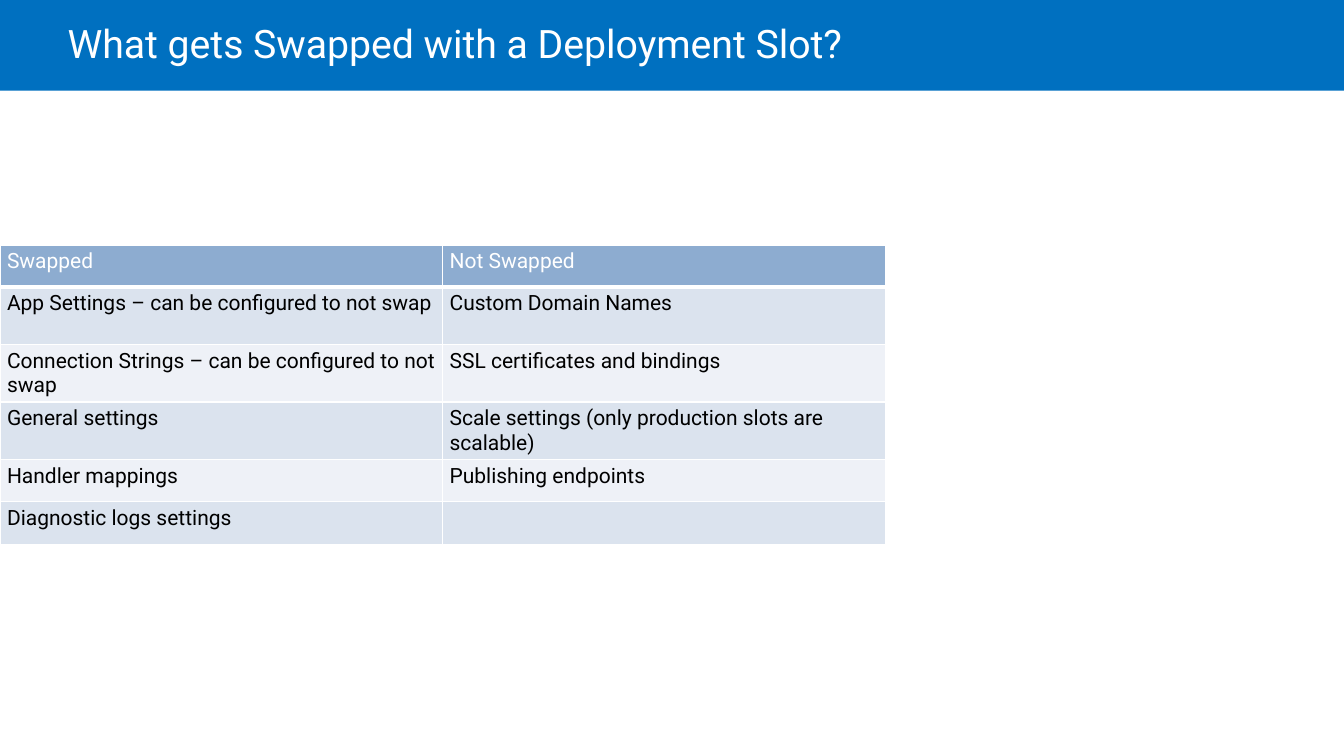
from lxml import etree
from pptx import Presentation
from pptx.dml.color import RGBColor
from pptx.enum.shapes import MSO_SHAPE
from pptx.enum.text import MSO_ANCHOR, PP_ALIGN
from pptx.oxml.ns import qn
from pptx.util import Inches, Pt

RECTANGLE = MSO_SHAPE.RECTANGLE
MIDDLE = MSO_ANCHOR.MIDDLE
LEFT = PP_ALIGN.LEFT

FONT = "Roboto"
COLORS = {
    "band": "0070C0",
    "header": "8DACD0",
    "odd": "DBE3EE",
    "even": "EEF1F7",
    "white": "FFFFFF",
    "black": "000000",
}
ROWS = [
    ("Swapped", "Not Swapped"),
    ("App Settings – can be configured to not swap", "Custom Domain Names"),
    ("Connection Strings – can be configured to not swap", "SSL certificates and bindings"),
    ("General settings", "Scale settings (only production slots are scalable)"),
    ("Handler mappings", "Publishing endpoints"),
    ("Diagnostic logs settings", ""),
]
ROW_HEIGHTS = [0.42, 0.57, 0.57, 0.57, 0.42, 0.42]
COLUMN_WIDTH = 4.39


class SlideBuilder:
    def __init__(self, presentation):
        self.slide = presentation.slides.add_slide(presentation.slide_layouts[5])

    def color(self, name):
        return RGBColor.from_string(COLORS[name])

    def style_text(self, paragraph, size, color):
        for run in paragraph.runs:
            run.font.name = FONT
            run.font.size = Pt(size)
            run.font.bold = False
            run.font.color.rgb = self.color(color)

    def band(self, width, height):
        shape = self.slide.shapes.add_shape(RECTANGLE, 0, 0, Inches(width), Inches(height))
        shape.shadow.inherit = False
        shape.fill.solid()
        shape.fill.fore_color.rgb = self.color("band")
        shape.line.fill.background()
        self.slide.shapes._spTree.insert(2, shape._element)

    def title(self, text, left, top, width, height):
        shape = self.slide.shapes.title
        shape.left, shape.top = Inches(left), Inches(top)
        shape.width, shape.height = Inches(width), Inches(height)
        frame = shape.text_frame
        frame.text = text
        frame.word_wrap = True
        frame.vertical_anchor = MIDDLE
        frame.margin_left = 0
        frame.margin_right = Inches(0.1)
        frame.margin_top = frame.margin_bottom = Inches(0.05)
        paragraph = frame.paragraphs[0]
        paragraph.alignment = LEFT
        paragraph.line_spacing = 0.9
        self.style_text(paragraph, 28, "white")

    def borders(self, cell, bottom_width):
        properties = cell._tc.get_or_add_tcPr()
        for side, width in (("L", 1), ("R", 1), ("T", 1), ("B", bottom_width)):
            line = etree.SubElement(properties, qn(f"a:ln{side}"), w=str(Pt(width)))
            fill = etree.SubElement(line, qn("a:solidFill"))
            etree.SubElement(fill, qn("a:srgbClr"), val=COLORS["white"])

    def cell(self, cell, text, fill, color, bottom_width):
        cell.text = text
        cell.margin_left = cell.margin_right = Inches(0.07)
        cell.margin_top = cell.margin_bottom = Inches(0.04)
        self.borders(cell, bottom_width)
        cell.fill.solid()
        cell.fill.fore_color.rgb = self.color(fill)
        self.style_text(cell.text_frame.paragraphs[0], 15, color)

    def table(self, rows, left, top):
        column_count = len(rows[0])
        table = self.slide.shapes.add_table(
            len(rows), column_count, Inches(left), Inches(top),
            Inches(COLUMN_WIDTH * column_count), Inches(sum(ROW_HEIGHTS)),
        ).table
        for column in table.columns:
            column.width = Inches(COLUMN_WIDTH)
        for row_index, texts in enumerate(rows):
            table.rows[row_index].height = Inches(ROW_HEIGHTS[row_index])
            if row_index == 0:
                fill, color, bottom_width = "header", "white", 3
            else:
                fill = "odd" if row_index % 2 else "even"
                color, bottom_width = "black", 1
            for column_index, text in enumerate(texts):
                self.cell(table.cell(row_index, column_index), text, fill, color, bottom_width)


def main():
    presentation = Presentation()
    presentation.slide_width = Inches(13.33)
    presentation.slide_height = Inches(7.5)
    builder = SlideBuilder(presentation)
    builder.band(13.33, 0.9)
    builder.title("What gets Swapped with a Deployment Slot?", 0.67, 0, 12, 0.9)
    builder.table(ROWS, 0, 2.43)
    presentation.save("out.pptx")


if __name__ == "__main__":
    main()
